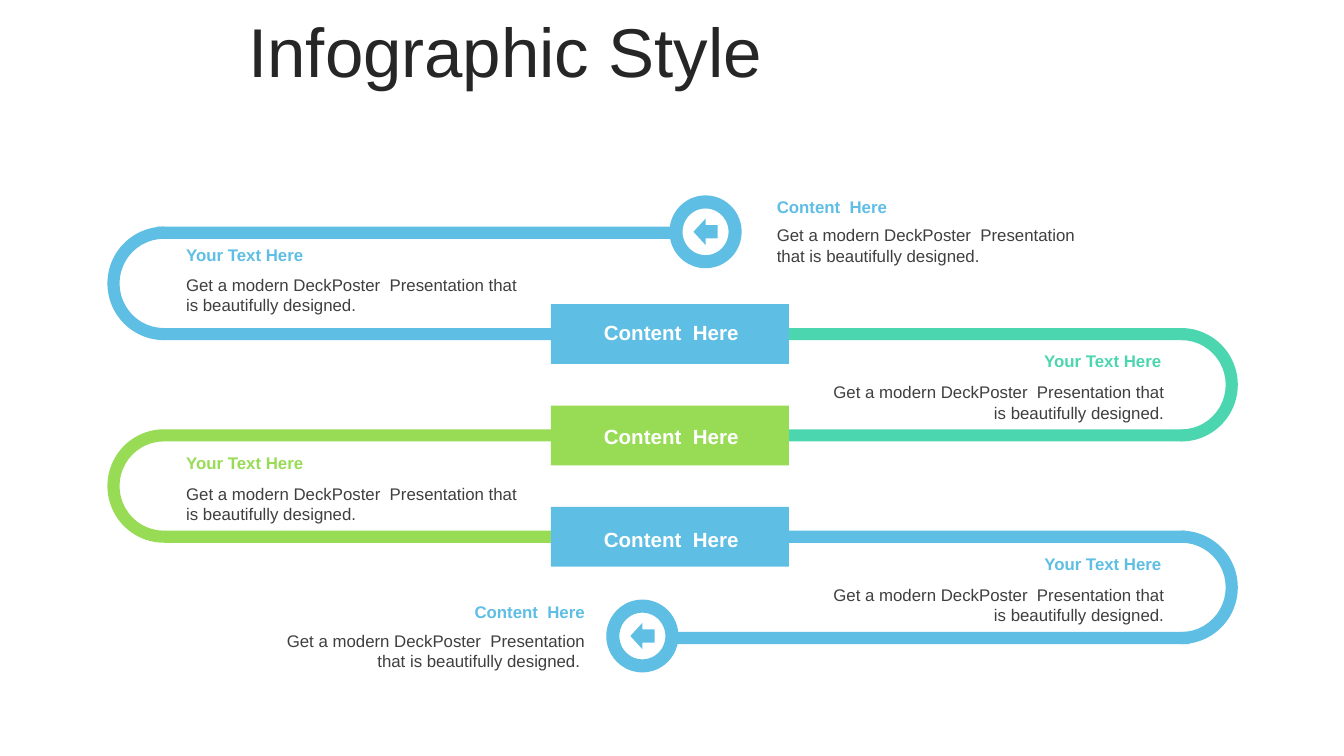
from dataclasses import dataclass

from pptx import Presentation
from pptx.dml.color import RGBColor
from pptx.enum.shapes import MSO_SHAPE
from pptx.enum.text import MSO_ANCHOR, PP_ALIGN
from pptx.util import Inches, Pt

RECT, OVAL = MSO_SHAPE.RECTANGLE, MSO_SHAPE.OVAL
ARC, ARROW = MSO_SHAPE.BLOCK_ARC, MSO_SHAPE.LEFT_ARROW
LEFT, CENTER, RIGHT = PP_ALIGN.LEFT, PP_ALIGN.CENTER, PP_ALIGN.RIGHT
TOP, MIDDLE = MSO_ANCHOR.TOP, MSO_ANCHOR.MIDDLE

SLIDE_W = 10
SLIDE_H = SLIDE_W * 9 / 16
COLUMN = SLIDE_W / 100
LANE = SLIDE_H * 0.134
LANE_TOP = SLIDE_H * 0.3
BAR_H = 0.12
BOX_W, BOX_H = 17.7, 0.59
ARC_W, ARC_H = 8.4, 1 + BAR_H
RING_W = 4.4
HEADING_H, BODY_H = 0.3, 0.5

YOUR_TEXT = "Your Text Here"
CONTENT = "Content  Here"
BODY = "Get a modern DeckPoster  Presentation that is beautifully designed."


@dataclass(frozen=True)
class Theme:
    font: str = "Arial"
    blue: str = "5EBEE4"
    green: str = "98DC56"
    teal: str = "4CD6B0"
    white: str = "FFFFFF"
    title: str = "262626"
    body: str = "3F3F3F"
    title_size: float = 37
    label_size: float = 11
    text_size: float = 9
    ring_line: float = 7


@dataclass(frozen=True)
class Area:
    column: float
    lane: float
    columns: float
    lanes: float

    def inches(self) -> tuple:
        return (
            Inches(self.column * COLUMN),
            Inches(LANE_TOP + self.lane * LANE),
            Inches(self.columns * COLUMN),
            Inches(self.lanes * LANE),
        )


@dataclass(frozen=True)
class Loop:
    lane: int
    color: str
    opens_right: bool
    upper: tuple[float, float]
    lower: tuple[float, float]


@dataclass(frozen=True)
class Caption:
    heading: str
    body: str
    color: str
    column: float
    lane: float
    heading_columns: float
    body_columns: float
    body_drop: float
    align: PP_ALIGN


THEME = Theme()

LOOPS = [
    Loop(0, THEME.blue, True, (11.7, 50.1), (12.2, 41.7)),
    Loop(2, THEME.green, True, (12.2, 41.7), (12.2, 41.7)),
    Loop(1, THEME.teal, False, (58.6, 88.1), (58.5, 88)),
    Loop(3, THEME.blue, False, (58.7, 88.2), (49.8, 88.5)),
]
BOX_COLORS = [THEME.blue, THEME.green, THEME.blue]
RINGS = [(50.3, -0.01), (45.6, 3.98)]
CAPTIONS = [
    Caption(YOUR_TEXT, BODY, THEME.blue, 13.15, 0.12, 26.4, 26.6, 0.3, LEFT),
    Caption(YOUR_TEXT, BODY, THEME.green, 13.15, 2.18, 26.7, 26.9, 0.3, LEFT),
    Caption(YOUR_TEXT, BODY, THEME.teal, 60.5, 1.17, 26.6, 26.8, 0.31, RIGHT),
    Caption(YOUR_TEXT, BODY, THEME.blue, 60.2, 3.17, 26.9, 27.1, 0.31, RIGHT),
    Caption(CONTENT, BODY + " ", THEME.blue, 20, 3.65, 24.2, 24.2, 0.28, RIGHT),
    Caption(CONTENT, BODY, THEME.blue, 57.1, -0.35, 24.2, 24.2, 0.28, LEFT),
]


def add_solid(slide, kind: MSO_SHAPE, area: Area, color: str):
    shape = slide.shapes.add_shape(kind, *area.inches())
    shape.shadow.inherit = False
    shape.fill.solid()
    shape.fill.fore_color.rgb = RGBColor.from_string(color)
    shape.line.fill.background()
    return shape


def add_text(slide, area: Area, text: str, size: float, color: str,
             align: PP_ALIGN, bold: bool = False, anchor: MSO_ANCHOR = TOP,
             spacing: float = 1.0) -> None:
    frame = slide.shapes.add_textbox(*area.inches()).text_frame
    frame.word_wrap = True
    frame.vertical_anchor = anchor
    frame.margin_left = frame.margin_right = Inches(0.07)
    frame.margin_top = frame.margin_bottom = Inches(0.04)
    paragraph = frame.paragraphs[0]
    paragraph.alignment = align
    paragraph.line_spacing = spacing
    run = paragraph.add_run()
    run.text = text
    run.font.name = THEME.font
    run.font.size = Pt(size)
    run.font.bold = bold
    run.font.color.rgb = RGBColor.from_string(color)


def add_loop(slide, loop: Loop) -> None:
    arc_column = 8 if loop.opens_right else 92.1 - ARC_W
    arc = add_solid(slide, ARC, Area(arc_column, loop.lane, ARC_W, ARC_H), loop.color)
    angles = (53.49, 162.34) if loop.opens_right else (161.66, 54.51)
    for index, value in enumerate((*angles, BAR_H / ARC_H)):
        arc.adjustments[index] = value
    for step, (start, end) in enumerate((loop.upper, loop.lower)):
        add_solid(slide, RECT, Area(start, loop.lane + step, end - start, BAR_H), loop.color)


def add_box(slide, index: int, color: str) -> None:
    lane = index + 1 + (BAR_H - BOX_H) / 2
    add_solid(slide, RECT, Area(41, lane, BOX_W, BOX_H), color)


def add_ring(slide, column: float, lane: float) -> None:
    area = Area(column, lane + (BAR_H - BOX_H) / 2, RING_W, BOX_H)
    ring = slide.shapes.add_shape(OVAL, *area.inches())
    ring.shadow.inherit = False
    ring.fill.background()
    ring.line.color.rgb = RGBColor.from_string(THEME.blue)
    ring.line.width = Pt(THEME.ring_line)
    add_solid(slide, ARROW, Area(column + 1.3, lane - 0.07, 1.8, 0.26), THEME.blue)


def add_caption(slide, caption: Caption) -> None:
    add_text(slide, Area(caption.column, caption.lane, caption.heading_columns, HEADING_H),
             caption.heading, THEME.text_size, caption.color, caption.align, bold=True)
    add_text(slide, Area(caption.column, caption.lane + caption.body_drop,
                         caption.body_columns, BODY_H),
             caption.body, THEME.text_size, THEME.body, caption.align)


def main() -> None:
    deck = Presentation()
    deck.slide_width, deck.slide_height = Inches(SLIDE_W), Inches(SLIDE_H)
    slide = deck.slides.add_slide(deck.slide_layouts[6])

    add_text(slide, Area(2, -1.97, 71.2, 0.6), "Infographic Style", THEME.title_size,
             THEME.title, CENTER, anchor=MIDDLE, spacing=0.8)
    for loop in LOOPS:
        add_loop(slide, loop)
    for index, color in enumerate(BOX_COLORS):
        add_box(slide, index, color)
    for column, lane in RINGS:
        add_ring(slide, column, lane)
    for index in range(len(BOX_COLORS)):
        add_text(slide, Area(42.85, 0.88 + 1.02 * index, 14.2, 0.33), CONTENT,
                 THEME.label_size, THEME.white, CENTER, bold=True, anchor=MIDDLE)
    for caption in CAPTIONS:
        add_caption(slide, caption)

    deck.save("out.pptx")


if __name__ == "__main__":
    main()
